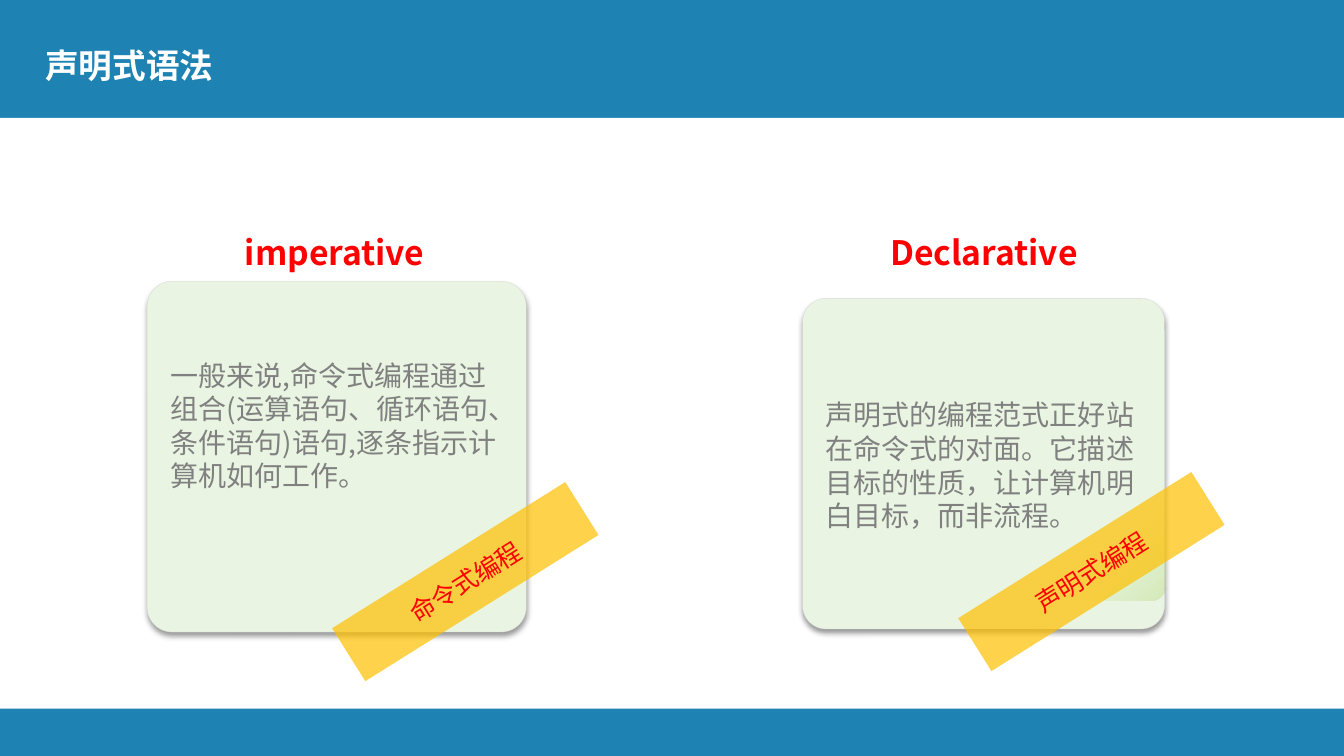
from lxml import etree
from pptx import Presentation
from pptx.dml.color import RGBColor
from pptx.enum.shapes import MSO_SHAPE as Shape
from pptx.enum.text import MSO_ANCHOR as Anchor, PP_ALIGN as Align
from pptx.oxml import parse_xml
from pptx.oxml.ns import nsdecls, qn
from pptx.util import Inches, Pt

WIDTH, HEIGHT = 13.33, 7.5
COLORS = {"blue": "1E83B3", "white": "FFFFFF", "card": "E9F5E2", "edge": "D9D9D9",
          "body": "808080", "tape": "FFC000", "label": "FE0000", "heading": "FF0000",
          "leaf": "A0CD4E", "shadow": "000000"}
SANS, LATIN = "Noto Sans CJK SC", "Roboto"

TITLE = "声明式语法"
# Boxes are left, top, width, height in inches; text_top is measured from the card's top.
PANELS = [
    {"heading": "imperative", "heading_box": (2.33, 2.13, 2.02, 0.57),
     "card": (1.46, 2.79, 3.76, 3.48), "text_top": 0.69,
     "body": "一般来说,命令式编程通过组合(运算语句、循环语句、条件语句)语句,逐条指示计算机如何工作。",
     "label": "命令式编程", "tape": (3.25, 5.46, 2.73, 0.62)},
    {"heading": "Declarative", "heading_box": (8.73, 2.13, 2.1, 0.57),
     "card": (7.96, 2.96, 3.59, 3.28), "text_top": 0.92,
     "body": "声明式的编程范式正好站在命令式的对面。它描述目标的性质，让计算机明白目标，而非流程。",
     "label": "声明式编程", "tape": (9.46, 5.36, 2.73, 0.62),
     "leaf": (10.72, 4.66, 0.84, 1.3)},
]


def rgb(name):
    return RGBColor.from_string(COLORS[name])


def inches(box):
    return [Inches(value) for value in box]


def write(shape, text, size, color, font=SANS, bold=False, align=Align.LEFT):
    para = shape.text_frame.paragraphs[0]
    para.alignment = align
    span = para.add_run()
    span.text = text
    span.font.size, span.font.bold, span.font.name = Pt(size), bold, font
    span.font.color.rgb = rgb(color)
    east_asian = etree.SubElement(span.font._element, qn("a:ea"))
    east_asian.set("typeface", font)
    return para


def add_block(page, kind, box, fill):
    block = page.shapes.add_shape(kind, *inches(box))
    block.shadow.inherit = False
    block.fill.solid()
    block.fill.fore_color.rgb = rgb(fill)
    block.line.fill.background()
    block.text_frame.word_wrap = True
    return block


def add_card(page, panel):
    card = add_block(page, Shape.ROUNDED_RECTANGLE, panel["card"], "card")
    card.adjustments[0] = 0.071
    card.line.color.rgb = rgb("edge")
    card.line.width = Pt(0.25)
    effects = card._element.spPr.find(qn("a:effectLst"))
    effects.append(parse_xml(
        f'<a:outerShdw {nsdecls("a")} blurRad="{Pt(4)}" dist="{Pt(3)}" dir="5400000" '
        f'algn="t" rotWithShape="0"><a:srgbClr val="{COLORS["shadow"]}">'
        '<a:alpha val="40000"/></a:srgbClr></a:outerShdw>'))
    frame = card.text_frame
    frame.vertical_anchor = Anchor.TOP
    frame.margin_left, frame.margin_top, frame.margin_right, frame.margin_bottom = inches(
        (0.16, panel["text_top"], 0.1, 0.05))
    write(card, panel["body"], 20, "body")


def add_leaf(page, box):
    """Add the corner tint that fades in towards the lower right."""
    leaf = add_block(page, Shape.ROUND_2_DIAG_RECTANGLE, box, "leaf")
    leaf.adjustments[0], leaf.adjustments[1] = 0.173, 0
    stops = "".join(
        f'<a:gs pos="{place}000"><a:srgbClr val="{COLORS["leaf"]}">'
        f'<a:alpha val="{alpha}000"/></a:srgbClr></a:gs>' for place, alpha in ((51, 0), (100, 29)))
    properties = leaf._element.spPr
    properties.replace(properties.find(qn("a:solidFill")), parse_xml(
        f'<a:gradFill {nsdecls("a")} rotWithShape="1"><a:gsLst>{stops}</a:gsLst>'
        '<a:lin ang="2700000" scaled="0"/></a:gradFill>'))


def add_tape(page, panel):
    tape = add_block(page, Shape.RECTANGLE, panel["tape"], "tape")
    tape.rotation = 327.9
    color = tape._element.spPr.find(qn("a:solidFill"))[0]
    etree.SubElement(color, qn("a:alpha")).set("val", "70000")
    tape.text_frame.vertical_anchor = Anchor.MIDDLE
    write(tape, panel["label"], 18, "label", LATIN, align=Align.CENTER)


def add_heading(page, panel):
    heading = page.shapes.add_textbox(*inches(panel["heading_box"]))
    heading.text_frame.word_wrap = False
    para = write(heading, panel["heading"], 24, "heading", bold=True)
    para.line_spacing = 1.3


def main():
    deck = Presentation()
    deck.slide_width, deck.slide_height = Inches(WIDTH), Inches(HEIGHT)
    page = deck.slides.add_slide(deck.slide_layouts[5])
    page.background.fill.solid()
    page.background.fill.fore_color.rgb = rgb("blue")
    add_block(page, Shape.RECTANGLE, (0, 1.17, WIDTH, 5.86), "white")

    title = page.shapes.title
    title.left, title.top, title.width, title.height = inches((0.35, 0.28, 9.01, 0.79))
    title.text_frame.vertical_anchor = Anchor.MIDDLE
    write(title, TITLE, 24, "white", bold=True).line_spacing = 0.9

    for panel in PANELS:
        add_card(page, panel)
        if "leaf" in panel:
            add_leaf(page, panel["leaf"])
        add_tape(page, panel)
        add_heading(page, panel)
    deck.save("out.pptx")


if __name__ == "__main__":
    main()
